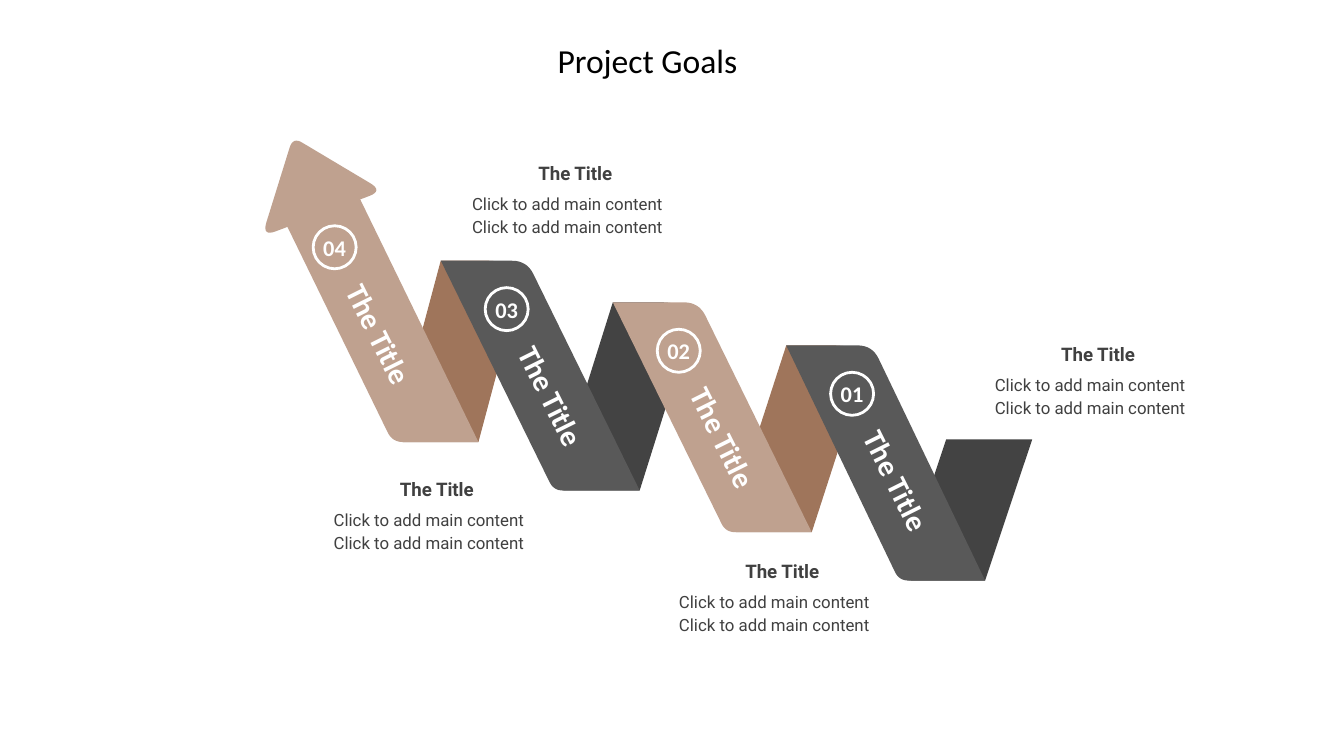
from pptx import Presentation
from pptx.dml.color import RGBColor
from pptx.enum.shapes import MSO_SHAPE
from pptx.enum.text import MSO_ANCHOR, MSO_AUTO_SIZE, PP_ALIGN
from pptx.util import Inches, Pt

OVAL = MSO_SHAPE.OVAL
MIDDLE = MSO_ANCHOR.MIDDLE
GROW = MSO_AUTO_SIZE.SHAPE_TO_FIT_TEXT
LEFT, CENTER = PP_ALIGN.LEFT, PP_ALIGN.CENTER

WHITE = RGBColor(0xFF, 0xFF, 0xFF)
BLACK = RGBColor(0, 0, 0)
TEXT = RGBColor(0x40, 0x40, 0x40)
GRAY, DARK_GRAY = RGBColor(0x59, 0x59, 0x59), RGBColor(0x43, 0x43, 0x43)
TAN, BROWN = RGBColor(0xBF, 0xA1, 0x8F), RGBColor(0x9F, 0x75, 0x5B)

TITLE = "Project Goals"
LABEL = "The Title"
BODY = ["Click to add main content"] * 2

# Ribbon from arrow to tail: number, peak (top left), valley (bottom right),
# colour of the band and of the fold behind it
STEPS = [
    ("04", (2.00, 1.48), (3.56, 3.29), TAN, BROWN),
    ("03", (3.28, 1.94), (4.76, 3.65), GRAY, DARK_GRAY),
    ("02", (4.56, 2.25), (6.04, 3.96), TAN, BROWN),
    ("01", (5.85, 2.57), (7.33, 4.32), GRAY, DARK_GRAY),
]
TAIL_PEAK = (7.04, 3.27)
BAND_W = 0.64
SHAFT = [(2.12, 1.65), (2.62, 1.36), (3.56, 3.29), (2.92, 3.29)]
HEAD = [(2.18, 1.02), (2.85, 1.42), (1.95, 1.76)]

# Centre and top of each caption
CAPTIONS = [(8.17, 2.48), (5.82, 4.09), (4.28, 1.13), (3.25, 3.48)]

CIRCLE = 0.32
CURVE_STEPS = 8

prs = Presentation()
prs.slide_width = Inches(10)
prs.slide_height = prs.slide_width * 9 // 16
slide = prs.slides.add_slide(prs.slide_layouts[6])
shapes = slide.shapes


def toward(a, b, distance):
    """Point at the given distance from a on the way to b."""
    length = ((b[0] - a[0]) ** 2 + (b[1] - a[1]) ** 2) ** 0.5
    return tuple(p + (q - p) * distance / length for p, q in zip(a, b))


def add_rounded_polygon(corners, radii, color):
    """Draw a polygon, cutting each corner with a curve that starts a radius away."""
    points = []
    for i, (corner, radius) in enumerate(zip(corners, radii)):
        if not radius:
            points.append(corner)
            continue
        start = toward(corner, corners[i - 1], radius)
        end = toward(corner, corners[(i + 1) % len(corners)], radius)
        for n in range(CURVE_STEPS + 1):
            t = n / CURVE_STEPS
            points.append(tuple((1 - t) ** 2 * a + 2 * t * (1 - t) * c + t * t * b
                                for a, c, b in zip(start, corner, end)))
    points = [(Inches(x), Inches(y)) for x, y in points]
    builder = shapes.build_freeform(*points[0])
    builder.add_line_segments(points[1:], close=True)
    sp = builder.convert_to_shape()
    sp.shadow.inherit = False
    sp.fill.solid()
    sp.fill.fore_color.rgb = color
    sp.line.fill.background()


def strip(peak, valley):
    """Corners of the slanted strip between a peak and a valley."""
    return [peak, (peak[0] + BAND_W, peak[1]), valley, (valley[0] - BAND_W, valley[1])]


def write(sp, lines, font, size, color, bold=False, align=CENTER, spacing=None):
    tf = sp.text_frame
    for i, line in enumerate(lines):
        p = tf.add_paragraph() if i else tf.paragraphs[0]
        p.alignment = align
        if spacing:
            p.line_spacing = spacing
        r = p.add_run()
        r.text = line
        r.font.name, r.font.size, r.font.bold = font, Pt(size), bold
        r.font.color.rgb = color


def add_text(x, y, w, h, lines, *style, wrap=False, **options):
    sp = shapes.add_textbox(*map(Inches, (x, y, w, h)))
    sp.text_frame.word_wrap = wrap
    sp.text_frame.auto_size = GROW
    write(sp, lines, *style, **options)
    return sp


def add_number(x, y, number, color):
    sp = shapes.add_shape(OVAL, *map(Inches, (x, y, CIRCLE, CIRCLE)))
    sp.shadow.inherit = False
    sp.fill.solid()
    sp.fill.fore_color.rgb = color
    sp.line.color.rgb = WHITE
    sp.line.width = Pt(1.5)
    sp.text_frame.word_wrap = False
    sp.text_frame.vertical_anchor = MIDDLE
    write(sp, [number], "Calibri", 12, WHITE, bold=True)


add_text(4.05, 0.25, 1.71, 0.4, [TITLE], "Calibri", 18, BLACK, align=LEFT)

next_peaks = [step[1] for step in STEPS[1:]] + [TAIL_PEAK]
for (number, peak, valley, color, fold_color), next_peak in zip(STEPS, next_peaks):
    top_radius = 0 if next_peak == TAIL_PEAK else 0.28
    add_rounded_polygon(strip(next_peak, valley), (0, top_radius, 0, 0.1), fold_color)

for number, peak, valley, color, fold_color in STEPS[1:]:
    add_rounded_polygon(strip(peak, valley), (0, 0.11, 0, 0.07), color)
add_rounded_polygon(SHAFT, (0, 0, 0, 0.08), TAN)
add_rounded_polygon(HEAD, (0.08, 0.11, 0.11), TAN)

for number, (x, y), valley, color, fold_color in STEPS:
    add_number(x + 0.33, y + 0.2, number, color)
    label = add_text(x + 0.26, y + 0.82, 1.12, 0.37, [LABEL], "Calibri", 16, WHITE, bold=True)
    label.rotation = 63.5

for cx, y in CAPTIONS:
    add_text(cx - 1.36, y + 0.24, 2.6, 0.44, BODY, "Roboto", 9, TEXT,
             wrap=True, spacing=1.14)
    add_text(cx - 0.96, y, 1.92, 0.29, [LABEL], "Roboto", 10, TEXT, bold=True,
             wrap=True, spacing=1.14)

prs.save("out.pptx")
